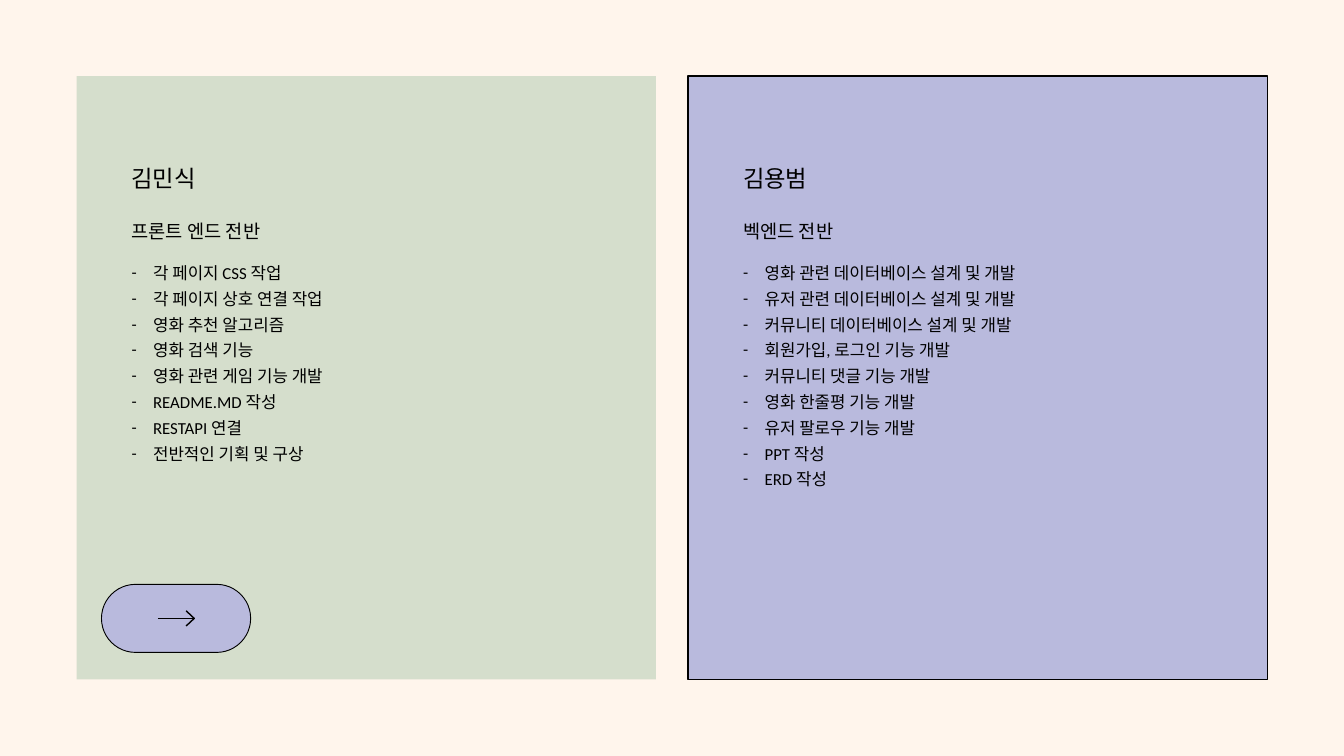
"""Build a slide that sets out the work of two team members on two cards."""

from dataclasses import dataclass
from typing import Optional

from lxml.etree import SubElement
from pptx import Presentation
from pptx.dml.color import RGBColor
from pptx.enum.shapes import MSO_CONNECTOR, MSO_SHAPE
from pptx.enum.text import MSO_AUTO_SIZE
from pptx.oxml.ns import qn
from pptx.util import Emu, Inches, Pt


@dataclass(frozen=True)
class Theme:
    """Colours, font and type sizes of the slide."""

    page: RGBColor = RGBColor(0xFF, 0xF5, 0xEC)
    green: RGBColor = RGBColor(0xD5, 0xDE, 0xCC)
    lilac: RGBColor = RGBColor(0xB9, 0xBA, 0xDD)
    ink: RGBColor = RGBColor(0, 0, 0)
    font: str = "Calibri"
    name_size: int = 25
    role_size: int = 20
    task_size: int = 18
    role_gap: int = 30
    list_gap: int = 22
    task_gap: int = 6
    card_line: float = 1.5
    button_line: float = 1
    arrow_line: float = 1.5


@dataclass(frozen=True)
class Area:
    """A rectangle in percent of the slide's width and height."""

    left: float
    top: float
    width: float
    height: float


@dataclass(frozen=True)
class Member:
    """One person with a role, tasks and the look of the card."""

    name: str
    role: str
    tasks: tuple
    fill: RGBColor
    outline: Optional[float]
    text_height: float


THEME = Theme()
SLIDE_WIDTH, SLIDE_HEIGHT = Inches(20), Inches(11.25)
PAGE = Area(0, 0, 100, 100)
CARD = Area(5.7, 10.08, 43.1, 79.8)
TEXT = Area(9.3, 21.25, 35.85, 41.6)
BUTTON = Area(7.55, 77.3, 11.1, 9)
COLUMN_PITCH = 45.5
ARROW_LENGTH, HEAD_LENGTH, HEAD_RISE = 2.7, 0.6, 1

MEMBERS = (
    Member(
        "김민식",
        "프론트 엔드 전반",
        (
            "각 페이지 CSS 작업",
            "각 페이지 상호 연결 작업",
            "영화 추천 알고리즘",
            "영화 검색 기능",
            "영화 관련 게임 기능 개발",
            "README.MD 작성",
            "RESTAPI 연결",
            "전반적인 기획 및 구상",
        ),
        THEME.green,
        None,
        41.6,
    ),
    Member(
        "김용범",
        "벡엔드 전반",
        (
            "영화 관련 데이터베이스 설계 및 개발",
            "유저 관련 데이터베이스 설계 및 개발",
            "커뮤니티 데이터베이스 설계 및 개발",
            "회원가입, 로그인 기능 개발",
            "커뮤니티 댓글 기능 개발",
            "영화 한줄평 기능 개발",
            "유저 팔로우 기능 개발",
            "PPT 작성",
            "ERD 작성",
        ),
        THEME.lilac,
        THEME.card_line,
        44.3,
    ),
)


def across(share: float) -> Emu:
    """Turn a percentage of the slide's width into a length."""
    return Emu(round(SLIDE_WIDTH * share / 100))


def down(share: float) -> Emu:
    """Turn a percentage of the slide's height into a length."""
    return Emu(round(SLIDE_HEIGHT * share / 100))


def frame(area: Area, column: int = 0) -> tuple:
    """Return left, top, width and height of an area in a column."""
    left = across(area.left + column * COLUMN_PITCH)
    return left, down(area.top), across(area.width), down(area.height)


def draw_panel(slide, kind: MSO_SHAPE, place: tuple, fill: RGBColor, outline: Optional[float]):
    """Draw a filled shape with an optional outline."""
    panel = slide.shapes.add_shape(kind, *place)
    panel.shadow.inherit = False
    panel.fill.solid()
    panel.fill.fore_color.rgb = fill
    if outline is None:
        panel.line.fill.background()
    else:
        panel.line.color.rgb = THEME.ink
        panel.line.width = Pt(outline)
    return panel


def write_line(para, text: str, size: int, gap: int) -> None:
    """Write one paragraph with a gap above it."""
    para.space_before = Pt(gap)
    span = para.add_run()
    span.text = text
    span.font.name = THEME.font
    span.font.size = Pt(size)
    span.font.color.rgb = THEME.ink


def add_dash(para) -> None:
    """Give a paragraph a hanging dash bullet."""
    properties = para._p.get_or_add_pPr()
    indent = Inches(0.32)
    properties.set("marL", str(indent))
    properties.set("indent", str(-indent))
    SubElement(properties, qn("a:buFont"), typeface=THEME.font)
    SubElement(properties, qn("a:buChar"), char="-")


def draw_member(slide, member: Member, column: int) -> None:
    """Draw a member's card and its text."""
    draw_panel(slide, MSO_SHAPE.RECTANGLE, frame(CARD, column), member.fill, member.outline)
    box = slide.shapes.add_textbox(*frame(TEXT, column))
    box.height = down(member.text_height)
    body = box.text_frame
    body.word_wrap = True
    body.auto_size = MSO_AUTO_SIZE.SHAPE_TO_FIT_TEXT
    write_line(body.paragraphs[0], member.name, THEME.name_size, 0)
    write_line(body.add_paragraph(), member.role, THEME.role_size, THEME.role_gap)
    for number, task in enumerate(member.tasks):
        para = body.add_paragraph()
        write_line(para, task, THEME.task_size, THEME.task_gap if number else THEME.list_gap)
        add_dash(para)


def draw_button(slide) -> None:
    """Draw the pill button with an arrow in its centre."""
    pill = draw_panel(slide, MSO_SHAPE.ROUNDED_RECTANGLE, frame(BUTTON), THEME.lilac, THEME.button_line)
    pill.adjustments[0] = 0.5
    middle = BUTTON.top + BUTTON.height / 2
    start = BUTTON.left + (BUTTON.width - ARROW_LENGTH) / 2
    tip = start + ARROW_LENGTH
    shaft = slide.shapes.add_connector(
        MSO_CONNECTOR.STRAIGHT, across(start), down(middle), across(tip), down(middle)
    )
    SubElement(shaft._element.spPr, qn("a:effectLst"))
    wing = across(tip - HEAD_LENGTH)
    builder = slide.shapes.build_freeform(wing, down(middle - HEAD_RISE))
    builder.add_line_segments(
        [(across(tip), down(middle)), (wing, down(middle + HEAD_RISE))], close=False
    )
    head = builder.convert_to_shape()
    head.shadow.inherit = False
    head.fill.background()
    for stroke in (shaft, head):
        stroke.line.color.rgb = THEME.ink
        stroke.line.width = Pt(THEME.arrow_line)


def main() -> None:
    """Build the deck and save it."""
    deck = Presentation()
    deck.slide_width, deck.slide_height = SLIDE_WIDTH, SLIDE_HEIGHT
    page = deck.slides.add_slide(deck.slide_layouts[6])
    draw_panel(page, MSO_SHAPE.RECTANGLE, frame(PAGE), THEME.page, None)
    for column, member in enumerate(MEMBERS):
        draw_member(page, member, column)
    draw_button(page)
    deck.save("out.pptx")


if __name__ == "__main__":
    main()
